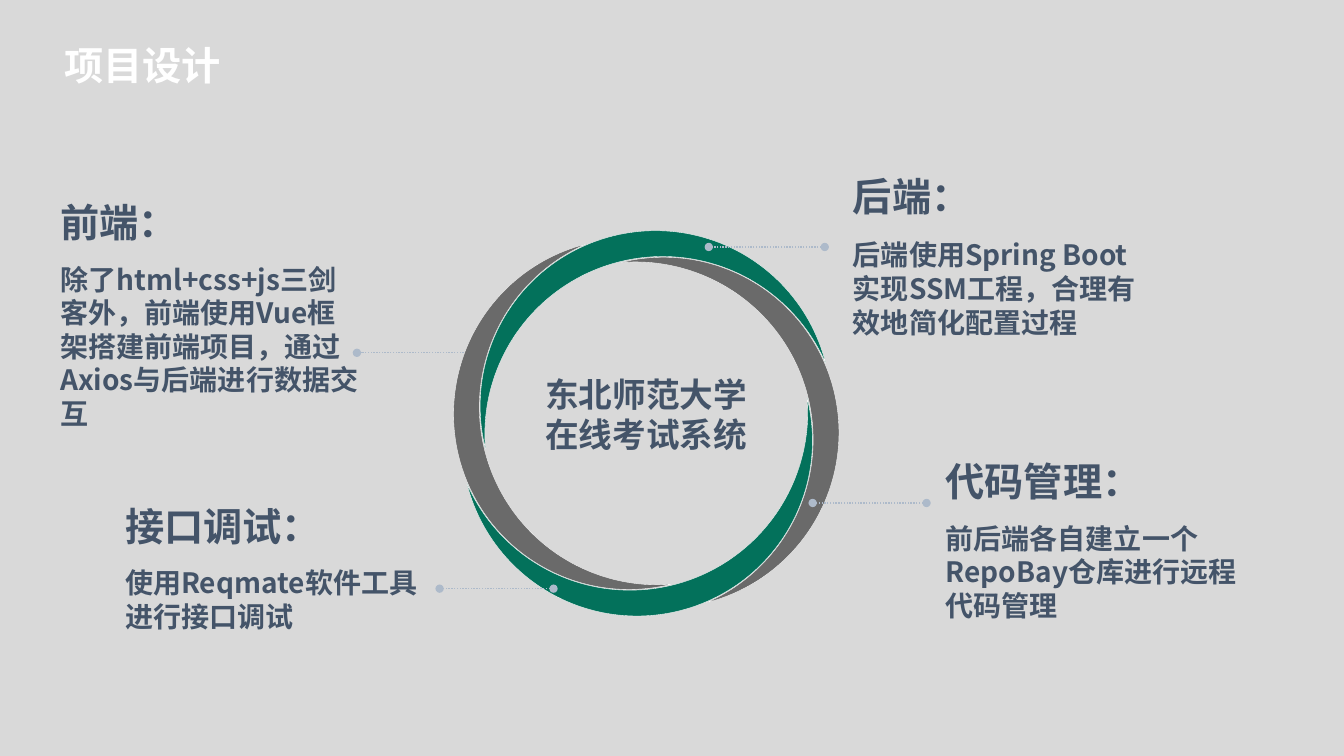
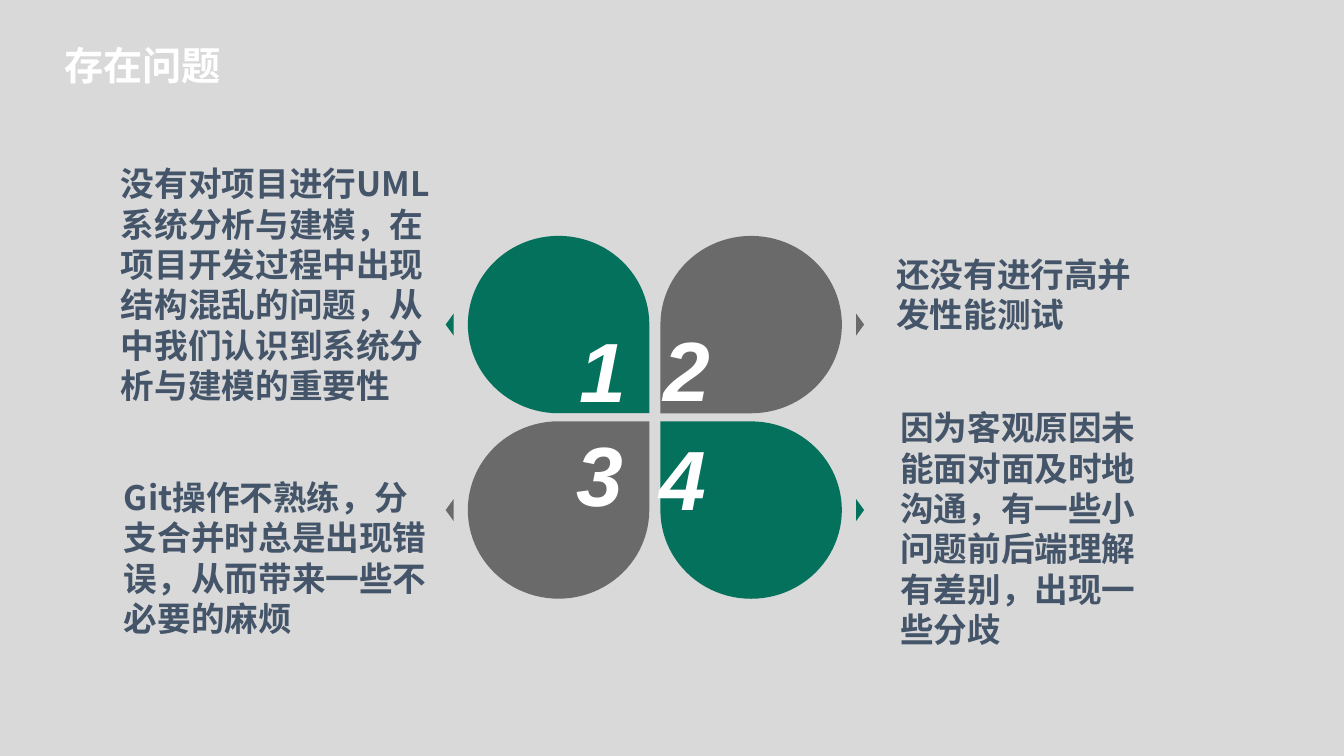
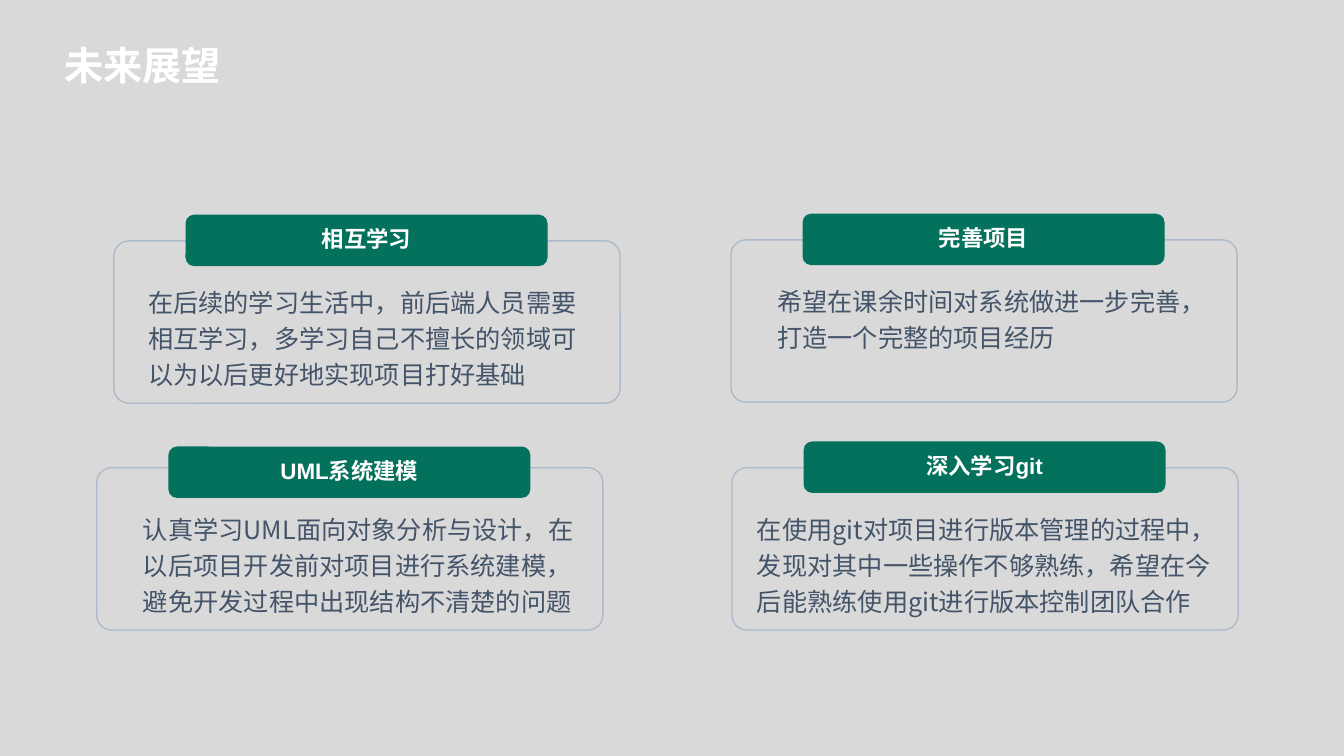
import math

import lxml.etree
import pptx
import pptx.dml.color
import pptx.enum.dml
import pptx.enum.shapes
import pptx.enum.text
import pptx.oxml.ns
import pptx.util

Inches = pptx.util.Inches
SHAPE = pptx.enum.shapes.MSO_SHAPE
ALIGN = pptx.enum.text.PP_ALIGN
qn = pptx.oxml.ns.qn

COLORS = {"back": "D9D9D9", "green": "03715B", "gray": "6A6A6A", "ink": "445469",
          "pale": "ADBACA", "edge": "F8F8F8", "white": "FFFFFF"}
CJK = "Noto Sans CJK SC"


def rgb(name):
    return pptx.dml.color.RGBColor.from_string(COLORS[name])


# ---- Shared helpers ----
def style_text(p, text, size, color="ink", font=CJK, bold=True, italic=False):
    p.text = text
    f = p.font
    f.name, f.size, f.bold, f.italic = font, pptx.util.Pt(size), bold, italic
    f.color.rgb = rgb(color)
    def_rpr = p._p.pPr.find(qn("a:defRPr"))
    lxml.etree.SubElement(def_rpr, qn("a:ea"), typeface=CJK)


def add_text(s, box, text, size, inset=True, spacing=None, **style):
    tb = s.shapes.add_textbox(*map(Inches, box))
    tf = tb.text_frame
    tf.word_wrap = True
    tf.auto_size = pptx.enum.text.MSO_AUTO_SIZE.SHAPE_TO_FIT_TEXT
    if not inset:
        tf.margin_left = tf.margin_right = tf.margin_top = tf.margin_bottom = 0
    p = tf.paragraphs[0]
    if spacing:
        p.line_spacing = spacing
    style_text(p, text, size, **style)


def add_shape(s, kind, box, fill=None, line=None, width=1, rot=0, adj=None):
    sp = s.shapes.add_shape(kind, *map(Inches, box))
    sp.shadow.inherit = False
    sp.rotation = rot
    if adj is not None:
        sp.adjustments[0] = adj
    if fill:
        sp.fill.solid()
        sp.fill.fore_color.rgb = rgb(fill)
    else:
        sp.fill.background()
    if line:
        sp.line.color.rgb = rgb(line)
        sp.line.width = pptx.util.Pt(width)
    else:
        sp.line.fill.background()
    return sp


def centered(cx, cy, w, h):
    return cx - w / 2, cy - h / 2, w, h


def add_leader(s, x1, x2, y):
    """Dotted horizontal line with a dot at each end."""
    cn = s.shapes.add_connector(pptx.enum.shapes.MSO_CONNECTOR.STRAIGHT,
                                *map(Inches, (x1, y, x2, y)))
    cn.line.color.rgb = rgb("pale")
    cn.line.width = pptx.util.Pt(1)
    cn.line.dash_style = pptx.enum.dml.MSO_LINE.ROUND_DOT
    sp_pr = cn._element.spPr
    ln = sp_pr.find(qn("a:ln"))
    for end in ("a:headEnd", "a:tailEnd"):
        lxml.etree.SubElement(ln, qn(end), type="oval")
    lxml.etree.SubElement(sp_pr, qn("a:effectLst"))


def new_slide(prs, title):
    s = prs.slides.add_slide(prs.slide_layouts[6])
    add_text(s, (0.54, 0.36, 4.74, 0.57), title, 28, color="white")
    return s


# ---- Slide 1: project design ----
def add_ring(s, cx, cy):
    """Four moons, each a quarter turn after the one before."""
    dx, dy = -1.015, 0.12
    for i in range(4):
        add_shape(s, SHAPE.MOON, centered(cx + dx, cy + dy, 1.74, 3.48),
                  fill=("gray", "green")[i % 2], line="edge", width=0.25,
                  rot=(345.9 + 90 * i) % 360, adj=0.152)
        dx, dy = -dy, dx


def add_topic(s, x, y, heading, body, height, gap=0.63):
    add_text(s, (x, y, 2.14, 0.47), heading, 28, inset=False, font="Arial")
    add_text(s, (x, y + gap, 2.97, height), body, 20, inset=False)


def build_design(prs):
    s = new_slide(prs, "项目设计")
    # The left leader runs behind the ring
    add_leader(s, 4.69, 3.54, 3.5)
    add_ring(s, 6.41, 4.2)
    add_text(s, (5.31, 3.66, 2.31, 0.91), "东北师范大学在线考试系统", 24)
    for x1, x2, y in ((5.49, 4.36, 5.84), (8.18, 7.03, 2.45), (9.19, 8.06, 4.99)):
        add_leader(s, x1, x2, y)
    # Topics around the ring
    add_topic(s, 0.6, 1.97, "前端：",
              "除了html+css+js三剑客外，前端使用Vue框架搭建前端项目，通过Axios与后端进行数据交互", 1.68)
    add_topic(s, 8.46, 1.71, "后端：",
              "后端使用Spring Boot实现SSM工程，合理有效地简化配置过程", 1.01, gap=0.65)
    add_topic(s, 1.24, 4.98, "接口调试：", "使用Reqmate软件工具进行接口调试", 0.67)
    add_topic(s, 9.38, 4.54, "代码管理：", "前后端各自建立一个RepoBay仓库进行远程代码管理", 1.01)


# ---- Slide 2: open problems ----
def add_flower(s, x, y, w, h):
    """Four teardrops pointing at the centre, with a small arrow beside each."""
    petal_w, petal_h, arrow_gap = 1.8, 1.76, 0.18
    rotations = (90, 180, 0, 270)
    for i, rot in enumerate(rotations):
        row, col = divmod(i, 2)
        color = "green" if row == col else "gray"
        cx = x + petal_w / 2 + col * (w - petal_w)
        cy = y + petal_h / 2 + row * (h - petal_h)
        size = (petal_h, petal_w) if rot % 180 else (petal_w, petal_h)
        add_shape(s, SHAPE.TEAR, centered(cx, cy, *size), fill=color, rot=rot)
        arrow_x = x + w + arrow_gap if col else x - arrow_gap
        add_shape(s, SHAPE.ISOSCELES_TRIANGLE, centered(arrow_x, cy, 0.22, 0.08),
                  fill=color, rot=90 if col else 270)


def build_problems(prs):
    s = new_slide(prs, "存在问题")
    add_flower(s, 4.64, 2.34, 3.71, 3.6)
    numbers = ((5.65, 3.11), (6.48, 3.1), (5.62, 4.14), (6.44, 4.18))
    for n, (x, y) in enumerate(numbers, 1):
        add_text(s, (x, y, 0.77, 1.11), str(n), 60, color="white", font="Arial", italic=True)
    problems = (
        ((1.2, 1.62, 3.25, 2.42),
         "没有对项目进行UML系统分析与建模，在项目开发过程中出现结构混乱的问题，从中我们认识到系统分析与建模的重要性"),
        ((8.89, 2.52, 2.43, 0.81), "还没有进行高并发性能测试"),
        ((1.23, 4.73, 3.04, 1.62), "Git操作不熟练，分支合并时总是出现错误，从而带来一些不必要的麻烦"),
        ((8.93, 4.04, 2.43, 2.42),
         "因为客观原因未能面对面及时地沟通，有一些小问题前后端理解有差别，出现一些分歧"),
    )
    for box, text in problems:
        add_text(s, box, text, 24, inset=False)


# ---- Slide 3: outlook ----
def add_card(s, x, y, heading, body, body_dx, body_w, body_h=1.16, tab_dy=-0.26):
    add_shape(s, SHAPE.ROUNDED_RECTANGLE, (x, y, 5.02, 1.61), line="pale", adj=0.091)
    add_text(s, (x + body_dx, y + 0.35, body_w, body_h), body, 18, spacing=1.2, bold=False)
    tab = add_shape(s, SHAPE.ROUNDED_RECTANGLE, (x + 0.71, y + tab_dy, 3.59, 0.51), fill="green")
    tf = tab.text_frame
    tf.vertical_anchor = pptx.enum.text.MSO_ANCHOR.MIDDLE
    tf.margin_bottom = Inches(0.08)
    p = tf.paragraphs[0]
    p.alignment = ALIGN.CENTER
    style_text(p, heading, 16, color="white", font="Arial")


def build_outlook(prs):
    s = new_slide(prs, "未来展望")
    add_card(s, 7.26, 4.64, "深入学习git",
             "在使用git对项目进行版本管理的过程中，发现对其中一些操作不够熟练，希望在今后能熟练使用git进行版本控制团队合作",
             0.15, 4.87)
    add_card(s, 0.96, 4.64, "UML系统建模",
             "认真学习UML面向对象分析与设计，在以后项目开发前对项目进行系统建模，避免开发过程中出现结构不清楚的问题",
             0.36, 4.47, tab_dy=-0.21)
    add_card(s, 7.25, 2.38, "完善项目",
             "希望在课余时间对系统做进一步完善，打造一个完整的项目经历", 0.36, 4.29, body_h=0.8)
    add_card(s, 1.13, 2.39, "相互学习",
             "在后续的学习生活中，前后端人员需要相互学习，多学习自己不擅长的领域可以为以后更好地实现项目打好基础",
             0.24, 4.66)


def main():
    prs = pptx.Presentation()
    prs.slide_width, prs.slide_height = Inches(13.33), Inches(7.5)
    back = prs.slide_master.background.fill
    back.solid()
    back.fore_color.rgb = rgb("back")
    build_design(prs)
    build_problems(prs)
    build_outlook(prs)
    prs.save("out.pptx")


if __name__ == "__main__":
    main()
